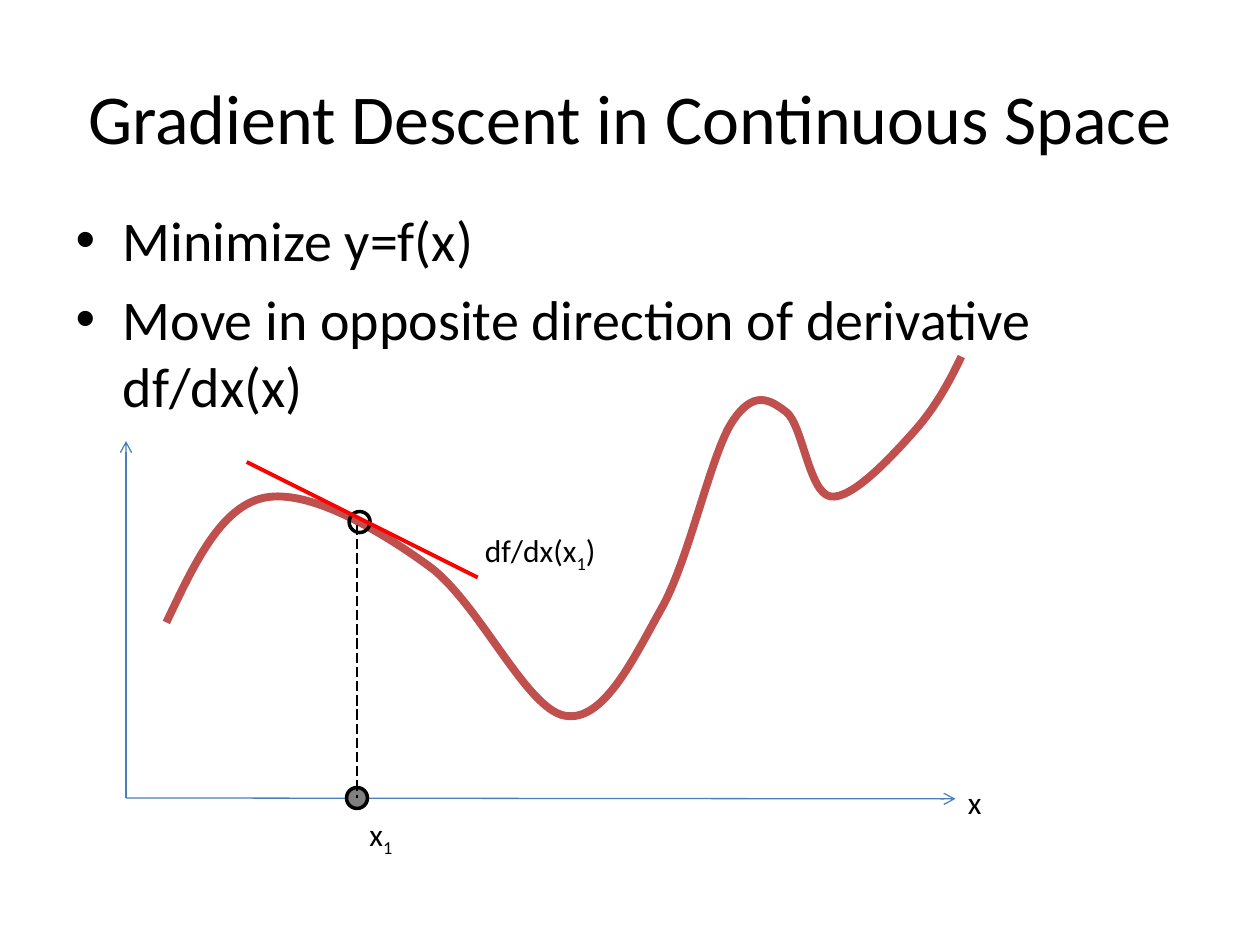
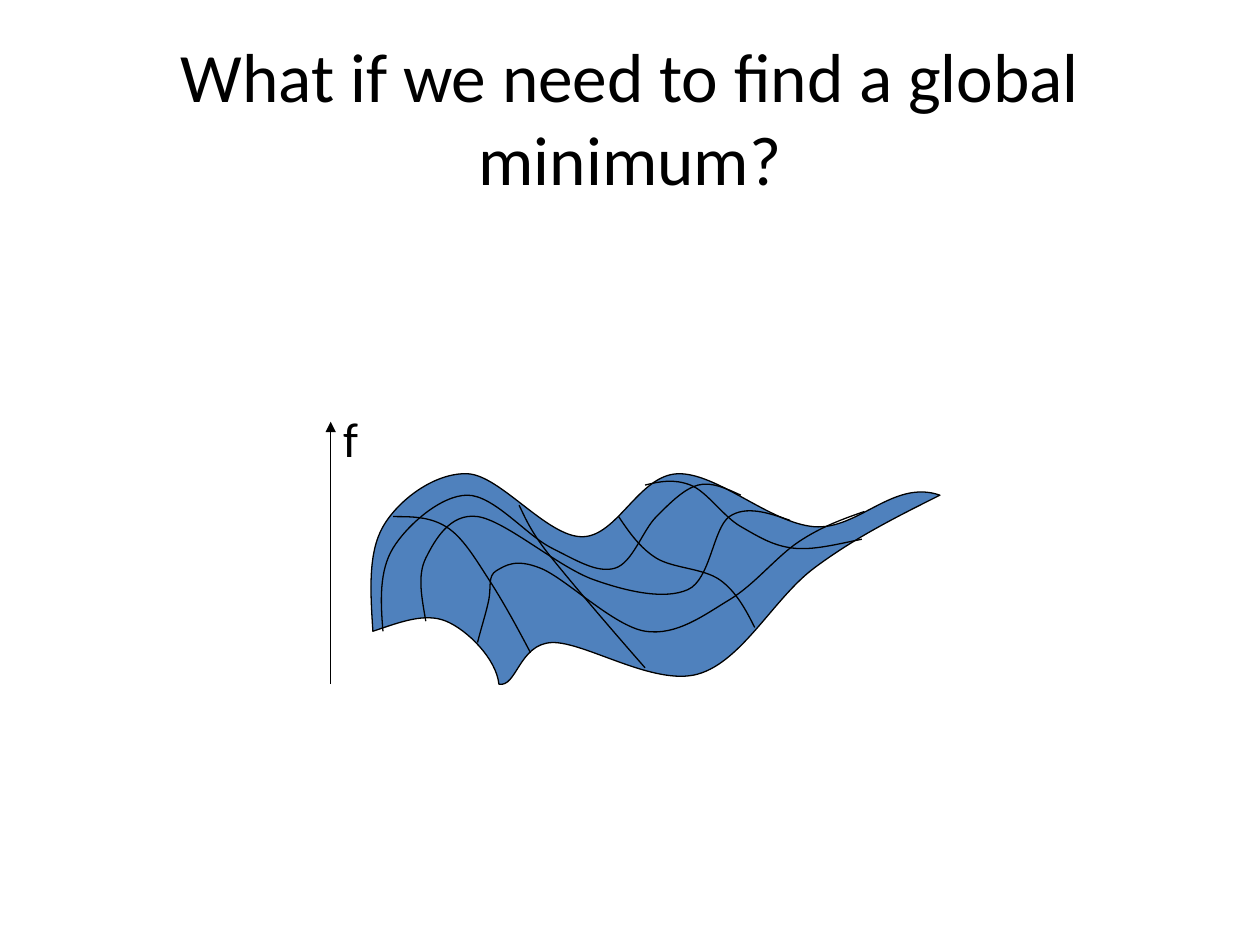
"""Build two slides on gradient descent: a one-dimensional descent step and a surface with several minima."""
from pptx import Presentation
from pptx.dml.color import RGBColor
from pptx.enum.dml import MSO_LINE
from pptx.enum.shapes import MSO_CONNECTOR, MSO_SHAPE
from pptx.enum.text import MSO_ANCHOR, MSO_AUTO_SIZE, PP_ALIGN
from pptx.oxml.ns import qn
from pptx.util import Pt
from lxml.etree import SubElement

FONT = "Calibri"
BLACK, GREY = "000000", "808080"
AXIS_BLUE, SURFACE_BLUE = "4B7EBC", "4F81BD"
CURVE_RED, TANGENT_RED = "C0504D", "FF0000"
TITLE_BOX = (36, 21.6, 648, 90)
BODY_BOX = (36, 114, 588, 384)
TITLE_AND_BODY, TITLE_ONLY = 1, 5
FITTED = {"word_wrap": True, "auto_size": MSO_AUTO_SIZE.SHAPE_TO_FIT_TEXT}
FIXED = {"word_wrap": True, "auto_size": MSO_AUTO_SIZE.NONE}

DESCENT_TITLE = "Gradient Descent in Continuous Space"
DESCENT_POINTS = ["Minimize y=f(x)", "Move in opposite direction of derivative df/dx(x)"]
GLOBAL_TITLE = "What if we need to find a global minimum?"

ORIGIN, X_END, Y_END = (72, 456), (546, 456.5), (72, 252)
STEP_ON_AXIS, STEP_ON_CURVE, STEP_TOP = (204, 456), (205.5, 298.3), (204, 300)
TANGENT = ((141, 264), (273, 330))
DOT_SIZE = 12
PLAIN, SUBSCRIPT = "0", "-25000"
DESCENT_LABELS = [
    ([("x", PLAIN)], (546, 444, 90, 29)),
    ([("x", PLAIN), ("1", SUBSCRIPT)], (204, 462, 42, 29)),
    ([("df/dx(x", PLAIN), ("1", SUBSCRIPT), (")", PLAIN)], (270, 300, 102, 29)),
]
F_AXIS = ((189, 391), (189, 241))
F_LABEL = ([("f", PLAIN)], (189, 230, 54, 41))

CURVE_UNIT = Pt(0.72)
FUNCTION_KNOTS = [(132, 494), (210, 395), (340, 449), (448, 568), (525, 483),
                  (581, 335), (624, 327), (659, 394), (725, 343), (763, 283)]

LEFT_CORNER, RIGHT_TIP, FRONT_CORNER = (296, 501), (746, 393), (396, 543)
SURFACE_EDGES = {
    "back": {
        "knots": [LEFT_CORNER, (304, 418), (371, 376), (462, 426), (538, 376), (646, 418), RIGHT_TIP],
        "end_handle": (709, 380),
    },
    "front": {
        "knots": [RIGHT_TIP, (646, 451), (554, 535), (438, 510), FRONT_CORNER],
        "end_handle": (410, 546),
    },
    "left": {
        "knots": [FRONT_CORNER, (354, 493), LEFT_CORNER],
        "start_handle": (394, 523),
    },
}
LENGTHWISE_GRID = [
    [(304, 501), (312, 435), (371, 393), (438, 435), (488, 451), (521, 410), (554, 385), (588, 393)],
    [(338, 493), (338, 443), (379, 410), (471, 460), (546, 468), (579, 410), (627, 413)],
    [(379, 510), (388, 476), (394, 453), (429, 451), (512, 501), (579, 476), (634, 430), (686, 406)],
]
CROSSWISE_GRID = [
    [(312, 410), (354, 418), (388, 460), (421, 518)],
    [(412, 401), (438, 443), (512, 530)],
    [(491, 410), (521, 443), (571, 460), (599, 498)],
    [(512, 385), (548, 385), (588, 418), (629, 435), (684, 428)],
]


def color(hex_value):
    """Turn a hex string into a colour."""
    return RGBColor.from_string(hex_value)


def apply(target, values):
    """Set each named attribute on the target."""
    for name, value in values.items():
        setattr(target, name, value)


def style_font(font, size):
    """Give a font the shared face and colour."""
    apply(font, {"name": FONT, "size": Pt(size)})
    font.color.rgb = color(BLACK)


def place(part, box):
    """Move and size a part by its box."""
    apply(part, dict(zip(("left", "top", "width", "height"), map(Pt, box))))


def style_outline(part, hex_value, width):
    """Set the colour and width of a line or an outline."""
    part.line.color.rgb = color(hex_value)
    part.line.width = Pt(width)


def style_shape(part, fill, line, width):
    """Set fill and outline, without a shadow."""
    part.shadow.inherit = False
    if fill:
        part.fill.solid()
        part.fill.fore_color.rgb = color(fill)
    else:
        part.fill.background()
    style_outline(part, line, width)


def midpoint(first, second):
    """Return the point halfway between two points."""
    return tuple((a + b) / 2 for a, b in zip(first, second))


def smooth(knots, start_handle=None, end_handle=None):
    """Return Bézier points through the knots.

    At an inner knot the handles lie a sixth of the way from the previous knot to the next.
    An end handle that is not given lies halfway to the opposite handle of its segment.
    """
    before, after = [], []
    for previous, knot, following in zip(knots, knots[1:], knots[2:]):
        reach = [(b - a) / 6 for a, b in zip(previous, following)]
        before.append(tuple(k - r for k, r in zip(knot, reach)))
        after.append(tuple(k + r for k, r in zip(knot, reach)))
    leaving = [start_handle or midpoint(knots[0], before[0]), *after]
    arriving = [*before, end_handle or midpoint(after[-1], knots[-1])]
    points = [knots[0]]
    for segment in zip(leaving, arriving, knots[1:]):
        points.extend(segment)
    return points


def start_slide(deck, layout, title, size):
    """Add a slide with its centred title."""
    slide = deck.slides.add_slide(deck.slide_layouts[layout])
    heading = slide.shapes.title
    place(heading, TITLE_BOX)
    apply(heading.text_frame, {"text": title, "vertical_anchor": MSO_ANCHOR.MIDDLE, **FIXED})
    paragraph = heading.text_frame.paragraphs[0]
    paragraph.alignment = PP_ALIGN.CENTER
    style_font(paragraph.runs[0].font, size)
    return slide


def fill_body(slide, points):
    """Write the bullet list into the body placeholder."""
    body = slide.placeholders[1]
    place(body, BODY_BOX)
    apply(body.text_frame, {"text": "\n".join(points), **FIXED})
    for paragraph in body.text_frame.paragraphs:
        style_font(paragraph.runs[0].font, 32)


def add_line(slide, start, end, hex_value, width=0.75, arrow=None, dash=None):
    """Draw a straight line, with an arrowhead at its end or dashes on request."""
    line = slide.shapes.add_connector(MSO_CONNECTOR.STRAIGHT, *map(Pt, (*start, *end)))
    style_outline(line, hex_value, width)
    if dash:
        line.line.dash_style = dash
    properties = line._element.spPr
    if arrow:
        SubElement(properties.find(qn("a:ln")), qn("a:tailEnd"), type=arrow)
    SubElement(properties, qn("a:effectLst"))


def add_curve(slide, points, line=BLACK, width=0.75, fill=None):
    """Draw Bézier points as one outline, closed when it has a fill."""
    builder = slide.shapes.build_freeform(*points[0], scale=CURVE_UNIT)
    builder.add_line_segments(points[1:], close=bool(fill))
    curve = builder.convert_to_shape()
    corners = list(curve._element.iter(qn("a:lnTo")))
    for triple in zip(*[iter(corners)] * 3):
        bezier = triple[0].makeelement(qn("a:cubicBezTo"))
        triple[0].addprevious(bezier)
        for corner in triple:
            bezier.append(corner[0])
            corner.getparent().remove(corner)
    style_shape(curve, fill, line, width)


def add_dot(slide, center, fill=None):
    """Draw a circle around a centre."""
    corner = (value - DOT_SIZE / 2 for value in center)
    dot = slide.shapes.add_shape(MSO_SHAPE.OVAL, *map(Pt, (*corner, DOT_SIZE, DOT_SIZE)))
    style_shape(dot, fill, BLACK, 2)


def add_label(slide, pieces, box, size=18):
    """Write a label from pieces of text, each with its baseline."""
    frame = slide.shapes.add_textbox(*map(Pt, box)).text_frame
    apply(frame, FITTED)
    for text, baseline in pieces:
        run = frame.paragraphs[0].add_run()
        run.text = text
        style_font(run.font, size)
        run._r.get_or_add_rPr().set("baseline", baseline)


def build_descent(deck):
    """Show the function, the current step and its tangent."""
    slide = start_slide(deck, TITLE_AND_BODY, DESCENT_TITLE, 40)
    fill_body(slide, DESCENT_POINTS)
    for axis_end in (X_END, Y_END):
        add_line(slide, ORIGIN, axis_end, AXIS_BLUE, arrow="arrow")
    add_curve(slide, smooth(FUNCTION_KNOTS), CURVE_RED, 4.5)
    add_dot(slide, STEP_ON_AXIS, GREY)
    add_line(slide, STEP_TOP, STEP_ON_AXIS, BLACK, dash=MSO_LINE.LONG_DASH)
    add_dot(slide, STEP_ON_CURVE)
    add_line(slide, *TANGENT, TANGENT_RED, 2.25)
    for pieces, box in DESCENT_LABELS:
        add_label(slide, pieces, box)


def build_global(deck):
    """Show the surface with its grid lines and the f axis."""
    slide = start_slide(deck, TITLE_ONLY, GLOBAL_TITLE, 39.6)
    add_line(slide, *F_AXIS, BLACK, arrow="triangle")
    add_label(slide, *F_LABEL, size=28)
    outline = [LEFT_CORNER]
    for edge in SURFACE_EDGES.values():
        outline.extend(smooth(**edge)[1:])
    add_curve(slide, outline, fill=SURFACE_BLUE)
    for knots in LENGTHWISE_GRID + CROSSWISE_GRID:
        add_curve(slide, smooth(knots))


def main():
    """Build and save the deck."""
    deck = Presentation()
    apply(deck, {"slide_width": Pt(720), "slide_height": Pt(540)})
    build_descent(deck)
    build_global(deck)
    deck.save("out.pptx")


if __name__ == "__main__":
    main()
